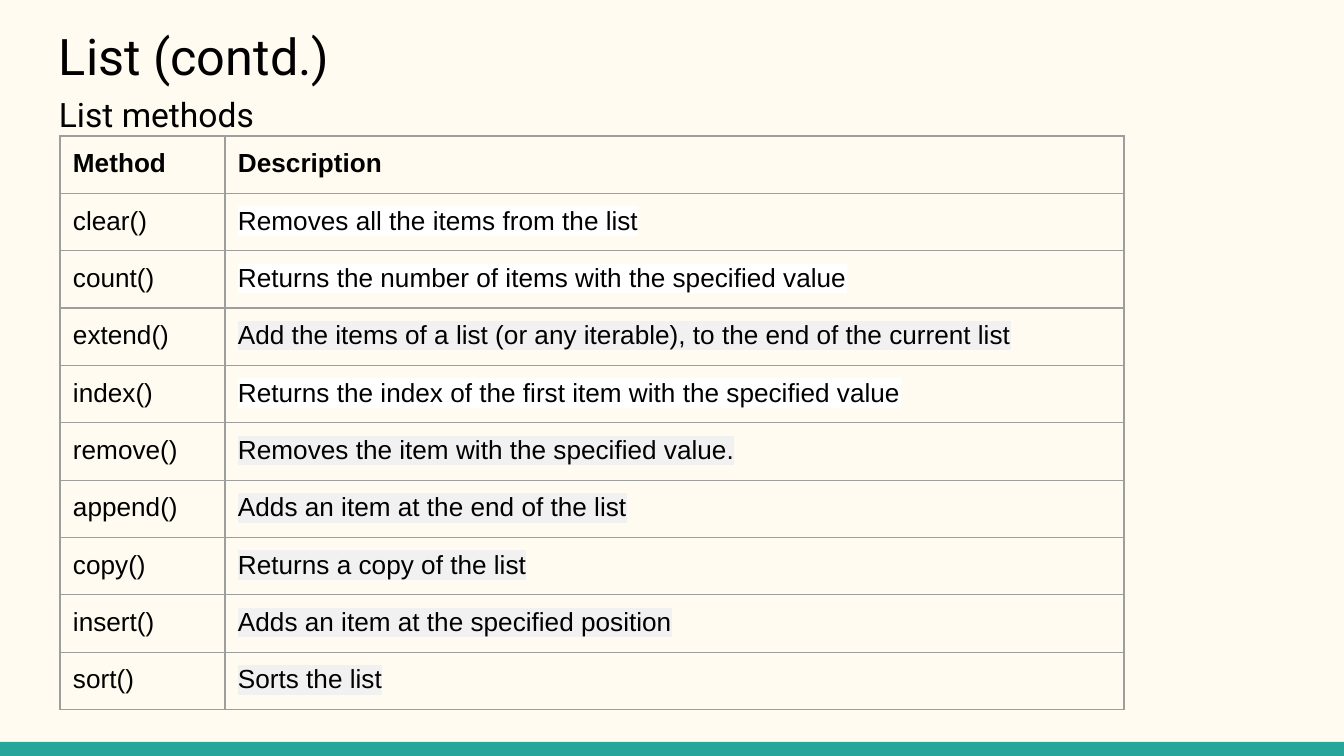
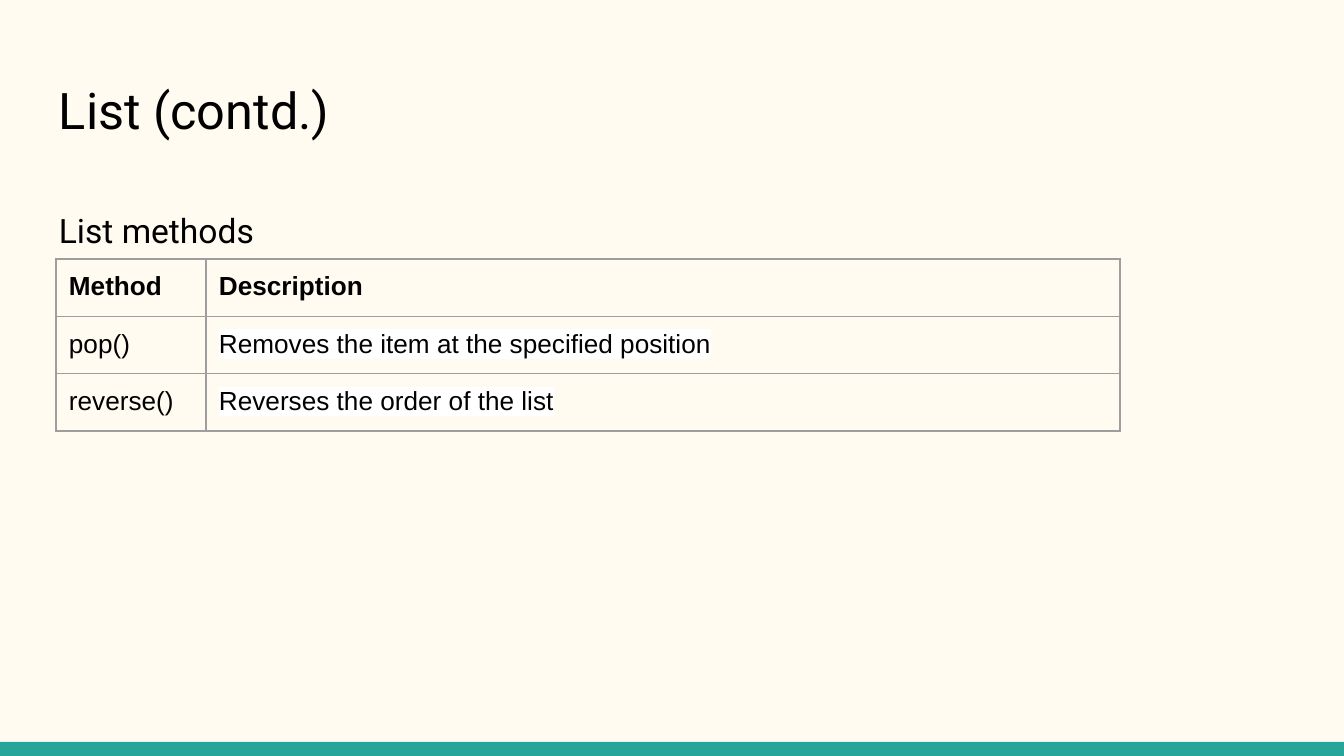
"""Builds two slides of tables that list the methods of a Python list."""
from lxml import etree
from pptx import Presentation
from pptx.dml.color import RGBColor
from pptx.enum.shapes import MSO_SHAPE
from pptx.enum.text import MSO_ANCHOR
from pptx.oxml.ns import qn
from pptx.util import Pt

RECT = MSO_SHAPE.RECTANGLE
TOP = MSO_ANCHOR.TOP
CREAM = RGBColor(0xFF, 0xFB, 0xF0)
TEAL = RGBColor(0x26, 0xA6, 0x9A)
BLACK = RGBColor(0x00, 0x00, 0x00)
WHITE = RGBColor(0xFF, 0xFF, 0xFF)
PALE = RGBColor(0xF1, 0xF1, 0xF1)
GRAY = RGBColor(0x9E, 0x9E, 0x9E)
WIDE, HIGH, LEFT, SPAN, PAD, ROW = 1344, 756, 46, 1253, 13, 56


def px(n):
    return round(n * 914400 / 134.4)


def write(frame, text, size=14, face="Arial", bold=False, mark=None, line=None, after=None):
    frame.word_wrap = True
    para = frame.paragraphs[0]
    para.line_spacing = line
    para.space_after = after
    run = para.add_run()
    run.text = text
    font = run.font
    font.size, font.name, font.bold = Pt(size), face, bold
    font.color.rgb = BLACK
    if mark is not None:
        glow = etree.Element(qn("a:highlight"))
        etree.SubElement(glow, qn("a:srgbClr"), val=str(mark))
        run._r.rPr.find(qn("a:solidFill")).addnext(glow)


PAGES = [
    dict(title=(12, 85), body=(75, 503), table=(60, 136), cols=(165, 899), rows=[
        ("clear()", "Removes all the items from the list", WHITE),
        ("count()", "Returns the number of items with the specified value", WHITE),
        ("extend()", "Add the items of a list (or any iterable), to the end of the current list", PALE),
        ("index()", "Returns the index of the first item with the specified value", WHITE),
        ("remove()", "Removes the item with the specified value.", PALE),
        ("append()", "Adds an item at the end of the list", PALE),
        ("copy()", "Returns a copy of the list", PALE),
        ("insert()", "Adds an item at the specified position", PALE),
        ("sort()", "Sorts the list", PALE),
    ]),
    dict(title=(66, 90), body=(191, 500), table=(56, 259), cols=(150, 914), rows=[
        ("pop()", "Removes the item at the specified position", WHITE),
        ("reverse()", "Reverses the order of the list", WHITE),
    ]),
]
HEADS = [
    ("title", "List (contd.)", dict(size=27, face="Roboto")),
    ("body", "List methods", dict(size=18, face="Roboto", line=1.15, after=Pt(12))),
]

deck = Presentation()
deck.slide_width, deck.slide_height = px(WIDE), px(HIGH)
back = deck.slide_master.background.fill
back.solid()
back.fore_color.rgb = CREAM

for page in PAGES:
    slide = deck.slides.add_slide(deck.slide_layouts[6])
    band = slide.shapes.add_shape(RECT, 0, px(HIGH - 14), px(WIDE), px(14))
    band.shadow.inherit = False
    band.fill.solid()
    band.fill.fore_color.rgb = TEAL
    band.line.fill.background()

    for part, text, style in HEADS:
        top, tall = page[part]
        frame = slide.shapes.add_textbox(px(LEFT), px(top), px(SPAN), px(tall)).text_frame
        frame.margin_left = frame.margin_right = px(PAD)
        frame.margin_top = frame.margin_bottom = px(PAD)
        frame.vertical_anchor = TOP
        write(frame, text, **style)

    rows = [("Method", "Description", None)] + page["rows"]
    left, top = page["table"]
    table = slide.shapes.add_table(
        len(rows), 2, px(left), px(top), px(sum(page["cols"])), px(ROW * len(rows))).table
    table.first_row = table.horz_banding = False
    for col, width in zip(table.columns, page["cols"]):
        col.width = px(width)
    for r, (name, about, mark) in enumerate(rows):
        table.rows[r].height = px(ROW)
        for c, text in enumerate((name, about)):
            cell = table.cell(r, c)
            cell.margin_left = cell.margin_right = px(PAD)
            cell.margin_top = cell.margin_bottom = px(PAD)
            cell.fill.background()
            for i, side in enumerate(("a:lnL", "a:lnR", "a:lnT", "a:lnB")):
                edge = etree.Element(qn(side), w=str(Pt(0.75)))
                fill = etree.SubElement(edge, qn("a:solidFill"))
                etree.SubElement(fill, qn("a:srgbClr"), val=str(GRAY))
                cell._tc.tcPr.insert(i, edge)
            write(cell.text_frame, text, bold=r == 0, mark=mark if c else None)

deck.save("out.pptx")
